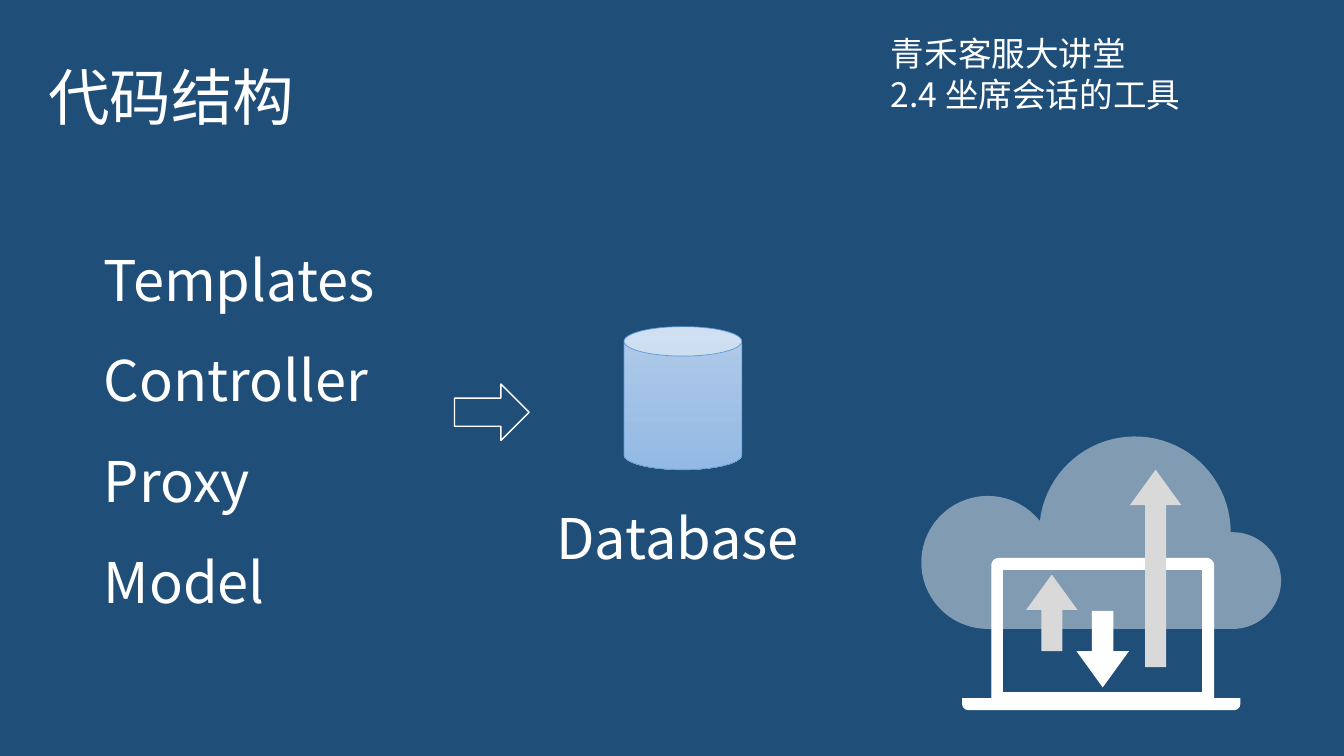
"""Build a slide on code structure: four layers, a database and a cloud drawing."""
from dataclasses import dataclass
from math import cos, radians, sin
from typing import Optional

from lxml.etree import SubElement
from pptx import Presentation
from pptx.dml.color import RGBColor
from pptx.enum.shapes import MSO_SHAPE
from pptx.enum.text import MSO_ANCHOR
from pptx.oxml.ns import qn
from pptx.util import Emu, Inches, Pt

COLUMNS, ROWS = 160, 90
CELL = Inches(7.5) / ROWS
FONT = "Noto Sans CJK SC"
COLORS = {
    "navy": "1F4E79",
    "white": "FFFFFF",
    "gray": "D9D9D9",
    "can_top": "B1CBE9",
    "can_bottom": "93B9E4",
    "can_edge": "5B9BD5",
}


@dataclass(frozen=True)
class Area:
    column: float
    row: float
    columns: float
    rows: float

    def place(self):
        return [cells(n) for n in (self.column, self.row, self.columns, self.rows)]


@dataclass(frozen=True)
class Label:
    area: Area
    lines: tuple
    size: int
    spacing: Optional[float] = None
    anchor: MSO_ANCHOR = MSO_ANCHOR.TOP
    inset: float = 1.2


@dataclass(frozen=True)
class Figure:
    area: Area
    kind: MSO_SHAPE
    fill: Optional[str] = None
    line: Optional[str] = None
    weight: float = 0.75
    adjust: tuple = ()


@dataclass(frozen=True)
class Arc:
    column: float
    row: float
    radius: float
    start: int
    end: int

    def points(self, steps: int = 40):
        angles = [radians(self.start + (self.end - self.start) * i / steps)
                  for i in range(steps + 1)]
        return [(self.column + self.radius * cos(a), self.row + self.radius * sin(a))
                for a in angles]


LABELS = (
    Label(Area(4.56, 3.24, 86.4, 17.4), ("代码结构",), 44, 0.9, MSO_ANCHOR.MIDDLE),
    Label(Area(11.76, 24.6, 53.88, 49.68),
          ("Templates", "Controller", "Proxy", "Model"), 40, 1.5, inset=0.6),
    Label(Area(65.04, 59.4, 32.4, 9.24), ("Database",), 40),
    Label(Area(104.88, 8.16, 37, 6), ("2.4 坐席会话的工具",), 24),
    Label(Area(104.88, 3.36, 30.72, 6), ("青禾客服大讲堂",), 24),
)
FLOW_ARROW = Figure(Area(54.12, 45.72, 8.88, 6.72), MSO_SHAPE.RIGHT_ARROW,
                    line="white", weight=1)
DATABASE = Figure(Area(74.28, 38.88, 14.04, 17.04), MSO_SHAPE.CAN,
                  line="can_edge", weight=0.5)
SCREEN = Figure(Area(118.92, 67.2, 24.84, 15.6), MSO_SHAPE.RECTANGLE, line="white")
ARROW_SHAPE = (0.41, 0.69)
LAPTOP_PARTS = (
    Figure(Area(114.6, 83.16, 33, 1.32), MSO_SHAPE.ROUND_2_SAME_RECTANGLE,
           "white", "white", adjust=(0, 0.5)),
    Figure(Area(122.16, 68.4, 6.12, 9.12), MSO_SHAPE.UP_ARROW, "gray", adjust=ARROW_SHAPE),
    Figure(Area(134.52, 55.92, 6.12, 23.52), MSO_SHAPE.UP_ARROW, "gray", adjust=ARROW_SHAPE),
    Figure(Area(128.16, 72.72, 6.24, 9.12), MSO_SHAPE.DOWN_ARROW, "white", adjust=ARROW_SHAPE),
)
CLOUD = (
    Arc(146.76, 69.12, 5.76, 90, -90),
    Arc(135.12, 63.36, 11.4, 0, -173),
    Arc(117.6, 66.96, 7.92, -39, -270),
)
LID = (
    Arc(118.92, 67.32, 0.84, 180, 270),
    Arc(143.64, 67.32, 0.84, 270, 360),
)
LID_FEET = [(144.48, 83.16), (118.08, 83.16)]
LID_WINDOW = [(119.4, 67.8), (119.4, 82.44), (143.16, 82.44), (143.16, 67.8)]


def cells(count: float) -> Emu:
    """Turn a count of grid cells into a length."""
    return Emu(round(count * CELL))


def color(name: str) -> RGBColor:
    """Look up a colour by its name."""
    return RGBColor.from_string(COLORS[name])


def paint(shape, fill: Optional[str], line: Optional[str], weight: float = 0.75) -> None:
    """Set the fill and the line of a shape and drop its shadow."""
    shape.shadow.inherit = False
    if fill:
        shape.fill.solid()
        shape.fill.fore_color.rgb = color(fill)
    else:
        shape.fill.background()
    if line:
        shape.line.color.rgb = color(line)
        shape.line.width = Pt(weight)
    else:
        shape.line.fill.background()


def add_label(shapes, label: Label) -> None:
    """Add a text box with one paragraph for each line."""
    box = shapes.add_textbox(*label.area.place())
    frame = box.text_frame
    frame.word_wrap = True
    frame.vertical_anchor = label.anchor
    frame.margin_left = frame.margin_right = cells(label.inset)
    frame.margin_top = frame.margin_bottom = cells(0.6)
    for index, line in enumerate(label.lines):
        para = frame.add_paragraph() if index else frame.paragraphs[0]
        para.line_spacing = label.spacing
        span = para.add_run()
        span.text = line
        span.font.size = Pt(label.size)
        span.font.color.rgb = color("white")
        span.font.name = FONT
        SubElement(span.font._element, qn("a:ea"), typeface=FONT)


def add_figure(shapes, figure: Figure):
    """Add a preset shape."""
    shape = shapes.add_shape(figure.kind, *figure.area.place())
    for index, value in enumerate(figure.adjust):
        shape.adjustments[index] = value
    paint(shape, figure.fill, figure.line, figure.weight)
    return shape


def add_outline(shapes, contours: list, fill: str, line: Optional[str] = None):
    """Add a freeform made of closed contours given in grid cells."""
    paths = [[(cells(x), cells(y)) for x, y in contour] for contour in contours]
    builder = shapes.build_freeform(*paths[0][0], scale=1.0)
    for index, path in enumerate(paths):
        if index:
            builder.move_to(*path[0])
        builder.add_line_segments(path[1:], close=True)
    shape = builder.convert_to_shape()
    paint(shape, fill, line)
    return shape


def add_database(shapes) -> None:
    """Add the can with its gradient."""
    can = add_figure(shapes, DATABASE)
    can.fill.gradient()
    can.fill.gradient_angle = 270
    for stop, name in zip(can.fill.gradient_stops, ("can_top", "can_bottom")):
        stop.color.rgb = color(name)
        stop.position = 0 if name == "can_top" else 1


def add_cloud_laptop(shapes) -> None:
    """Add the grouped cloud, laptop and transfer arrows."""
    group = shapes.add_group_shape().shapes
    add_figure(group, SCREEN)
    cloud = add_outline(group, [[p for arc in CLOUD for p in arc.points()]], "white")
    tint = cloud.fill._xPr.find(qn("a:solidFill")).find(qn("a:srgbClr"))
    SubElement(tint, qn("a:alpha"), val="44000")
    lid = [p for arc in LID for p in arc.points(10)] + LID_FEET
    add_outline(group, [lid, LID_WINDOW], "white", "white")
    for part in LAPTOP_PARTS:
        add_figure(group, part)


def main() -> None:
    """Build and save the deck."""
    deck = Presentation()
    deck.slide_width, deck.slide_height = cells(COLUMNS), cells(ROWS)
    page = deck.slides.add_slide(deck.slide_layouts[6])
    page.background.fill.solid()
    page.background.fill.fore_color.rgb = color("navy")
    for label in LABELS:
        add_label(page.shapes, label)
    add_figure(page.shapes, FLOW_ARROW)
    add_database(page.shapes)
    add_cloud_laptop(page.shapes)
    deck.save("out.pptx")


if __name__ == "__main__":
    main()
